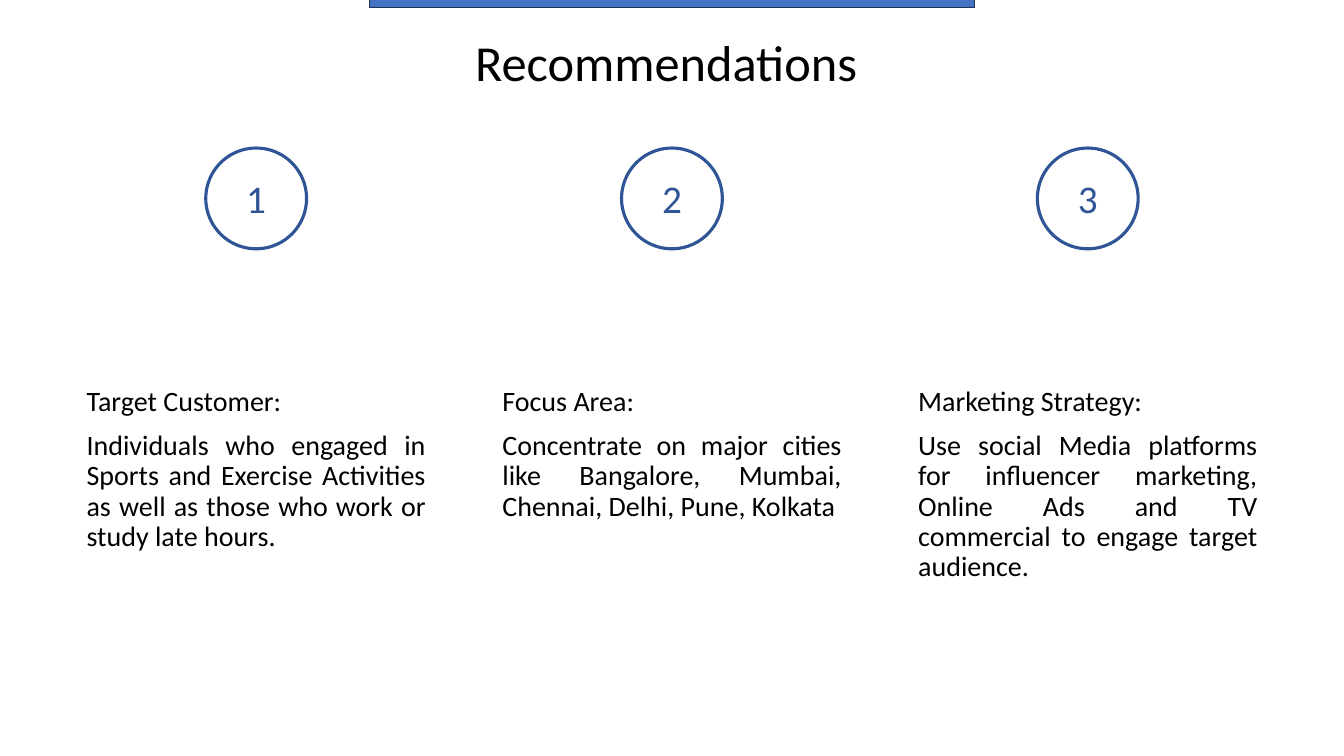
from dataclasses import dataclass

from pptx import Presentation
from pptx.dml.color import RGBColor
from pptx.enum.shapes import MSO_SHAPE
from pptx.enum.text import MSO_ANCHOR, PP_ALIGN
from pptx.shapes.autoshape import Shape
from pptx.slide import Slide
from pptx.util import Emu, Pt

CIRCLE = MSO_SHAPE.FLOWCHART_CONNECTOR
RECTANGLE = MSO_SHAPE.RECTANGLE
TOP, BOTTOM = MSO_ANCHOR.TOP, MSO_ANCHOR.BOTTOM
CENTER, JUSTIFY = PP_ALIGN.CENTER, PP_ALIGN.JUSTIFY

EMU_PER_PX = 9525
FONT = "Calibri"
BLACK, NAVY, BLUE, BAR_EDGE = "000000", "2F5597", "4472C4", "1E3256"
COLUMN_LEFT, COLUMN_PITCH = 73, 396


@dataclass(frozen=True)
class Box:
    left: int
    top: int
    width: int
    height: int

    def emu(self) -> list[Emu]:
        sides = (self.left, self.top, self.width, self.height)
        return [Emu(side * EMU_PER_PX) for side in sides]


@dataclass(frozen=True)
class TextStyle:
    size: int
    color: str
    align: PP_ALIGN
    anchor: MSO_ANCHOR = TOP
    line_spacing: float = 1.0
    space_before: int = 0


@dataclass(frozen=True)
class Recommendation:
    heading: str
    detail: str


TITLE = TextStyle(36, BLACK, CENTER, BOTTOM, 0.9)
BODY = TextStyle(20, BLACK, JUSTIFY, TOP, 0.9, 10)
NUMBER = TextStyle(28, NAVY, CENTER)

RECOMMENDATIONS = [
    Recommendation(
        "Target Customer:",
        "Individuals who engaged in Sports and Exercise Activities "
        "as well as those who work or study late hours.",
    ),
    Recommendation(
        "Focus Area:",
        "Concentrate on major cities like Bangalore, Mumbai, "
        "Chennai, Delhi, Pune, Kolkata",
    ),
    Recommendation(
        "Marketing Strategy:",
        "Use social Media platforms for influencer marketing, "
        "Online Ads and TV commercial to engage target audience.",
    ),
]


def rgb(color: str) -> RGBColor:
    return RGBColor.from_string(color)


def add_text(s: Slide, box: Box, text: str, style: TextStyle) -> None:
    tf = s.shapes.add_textbox(*box.emu()).text_frame
    tf.word_wrap = True
    tf.vertical_anchor = style.anchor
    tf.text = text
    for p in tf.paragraphs:
        p.alignment = style.align
        p.line_spacing = style.line_spacing
        p.space_before = Pt(style.space_before)
        for r in p.runs:
            r.font.name = FONT
            r.font.size = Pt(style.size)
            r.font.color.rgb = rgb(style.color)


def add_outlined(
    s: Slide, kind: MSO_SHAPE, box: Box, line: str, width: float
) -> Shape:
    sp = s.shapes.add_shape(kind, *box.emu())
    sp.shadow.inherit = False
    sp.fill.background()
    sp.line.color.rgb = rgb(line)
    sp.line.width = Pt(width)
    return sp


def add_recommendation(
    s: Slide, left: int, number: int, item: Recommendation
) -> None:
    add_text(
        s, Box(left, 364, 342, 266), f"{item.heading}\n{item.detail}", BODY
    )
    add_outlined(s, CIRCLE, Box(left + 123, 141, 96, 96), NAVY, 2.25)
    add_text(s, Box(left + 147, 161, 48, 55), str(number), NUMBER)


def main() -> None:
    prs = Presentation()
    prs.slide_width = Emu(1280 * EMU_PER_PX)
    prs.slide_height = Emu(720 * EMU_PER_PX)
    s = prs.slides.add_slide(prs.slide_layouts[6])

    add_text(s, Box(160, 27, 960, 66), "Recommendations ", TITLE)
    for i, item in enumerate(RECOMMENDATIONS):
        add_recommendation(s, COLUMN_LEFT + i * COLUMN_PITCH, i + 1, item)

    bar = add_outlined(s, RECTANGLE, Box(352, -5, 576, 12), BAR_EDGE, 1)
    bar.fill.solid()
    bar.fill.fore_color.rgb = rgb(BLUE)

    prs.save("out.pptx")


if __name__ == "__main__":
    main()
